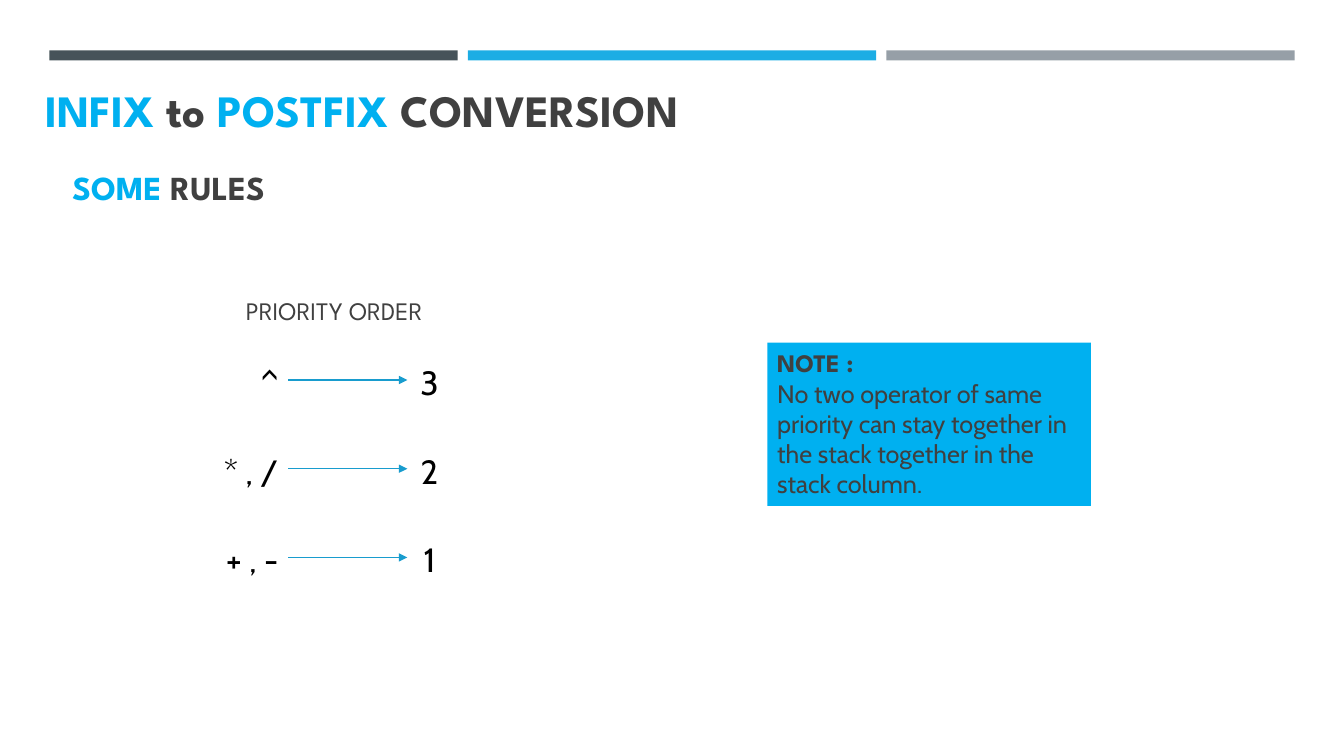
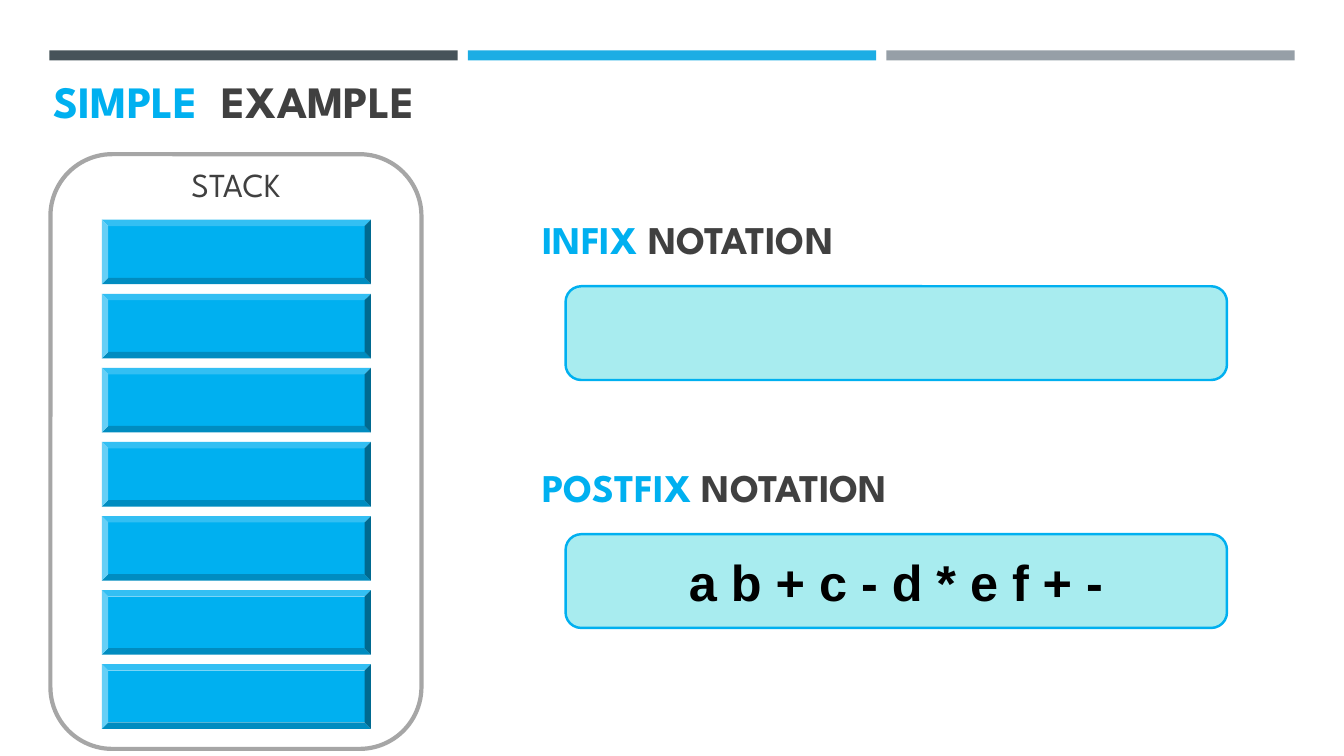
import pptx
import pptx.dml.color
import pptx.enum.shapes
import pptx.enum.text
import pptx.oxml.ns
import pptx.util
from lxml import etree

Inches = pptx.util.Inches
Pt = pptx.util.Pt
RGBColor = pptx.dml.color.RGBColor
SHAPE = pptx.enum.shapes.MSO_SHAPE
ALIGN = pptx.enum.text.PP_ALIGN
ANCHOR = pptx.enum.text.MSO_ANCHOR

SLATE = RGBColor(0x46, 0x53, 0x59)
SKY = RGBColor(0x1C, 0xAD, 0xE4)
STEEL = RGBColor(0x96, 0x9F, 0xA7)
BLUE = RGBColor(0x00, 0xB0, 0xF0)
DARK = RGBColor(0x40, 0x40, 0x40)
BLACK = RGBColor(0x00, 0x00, 0x00)
TEAL = RGBColor(0x18, 0x9C, 0xCE)
GREY = RGBColor(0xA6, 0xA6, 0xA6)
AQUA = RGBColor(0xA8, 0xEC, 0xEF)
HEAD = "League Spartan"
BODY = "Cabin"


def write(frame, text, size=18, font=HEAD, color=DARK, bold=False,
          align=ALIGN.LEFT, anchor=ANCHOR.TOP, more=False):
    frame.word_wrap = True
    frame.vertical_anchor = anchor
    para = frame.add_paragraph() if more else frame.paragraphs[0]
    para.alignment = align
    parts = [(text, color)] if isinstance(text, str) else text
    for words, tint in parts:
        run = para.add_run()
        run.text = words
        run.font.size = Pt(size)
        run.font.name = font
        run.font.bold = bold
        run.font.color.rgb = tint


def label(slide, box, text, **style):
    area = slide.shapes.add_textbox(*map(Inches, box))
    write(area.text_frame, text, **style)


def block(slide, kind, box, fill=None, line=None, width=1):
    shape = slide.shapes.add_shape(kind, *map(Inches, box))
    shape.shadow.inherit = False
    if fill is None:
        shape.fill.background()
    else:
        shape.fill.solid()
        shape.fill.fore_color.rgb = fill
    if line is None:
        shape.line.fill.background()
    else:
        shape.line.color.rgb = line
        shape.line.width = Pt(width)
    return shape


def arrow(slide, left, top, width):
    line = slide.shapes.add_connector(
        pptx.enum.shapes.MSO_CONNECTOR.STRAIGHT,
        Inches(left), Inches(top), Inches(left + width), Inches(top))
    line.line.color.rgb = TEAL
    line.line.width = Pt(1)
    name = pptx.oxml.ns.qn
    etree.SubElement(line.line._get_or_add_ln(), name("a:tailEnd"), type="triangle")
    etree.SubElement(line._element.spPr, name("a:effectLst"))


def start(deck, box, title):
    slide = deck.slides.add_slide(deck.slide_layouts[6])
    for i, tint in enumerate((SLATE, SKY, STEEL)):
        block(slide, SHAPE.RECTANGLE, (0.49 + 4.15 * i, 0.5, 4.05, 0.1), tint)
    label(slide, box, title, size=32, bold=True)
    return slide


def ranks(slide, left, top):
    label(slide, (left + 0.22, top, 2.47, 0.4), "PRIORITY ORDER", align=ALIGN.CENTER)
    for i, (signs, rank) in enumerate((("^", "3"), ("* , /", "2"), ("+ , -", "1"))):
        row = top + 0.66 + 0.88 * i
        style = dict(size=24, font=BODY, color=BLACK)
        label(slide, (left, row, 1, 0.5), signs, align=ALIGN.RIGHT, **style)
        arrow(slide, left + 1, row + 0.23, 1.18)
        label(slide, (left + 2.1, row, 0.6, 0.5), rank, align=ALIGN.CENTER, **style)


def note(slide, box):
    frame = block(slide, SHAPE.RECTANGLE, box, BLUE).text_frame
    write(frame, "NOTE :", bold=True)
    write(frame, "No two operator of same priority can stay together in the "
          "stack together in the stack column.", font=BODY, more=True)


def stack(slide, left, top, width, height):
    for i in range(7):
        cell = block(slide, SHAPE.BEVEL,
                     (left + 0.51, top + 0.65 + 4.41 * i / 6, width - 1.01, 0.64), BLUE)
        cell.adjustments[0] = 0.1
    block(slide, SHAPE.ROUNDED_RECTANGLE, (left, top, width, height), line=GREY, width=3)
    label(slide, (left, top + 0.05, width, 0.5), "STACK", size=24, align=ALIGN.CENTER)


def field(slide, left, top, name, value=""):
    label(slide, (left, top, 4.42, 0.57), [(name, BLUE), (" NOTATION", DARK)],
          size=28, bold=True)
    panel = block(slide, SHAPE.ROUNDED_RECTANGLE,
                  (left + 0.33, top + 0.75, 6.56, 0.93), AQUA, BLUE, 1.75)
    if value:
        write(panel.text_frame, value, size=36, font="Arial", color=BLACK, bold=True,
              align=ALIGN.CENTER, anchor=ANCHOR.MIDDLE)


def rules(deck):
    slide = start(deck, (0.35, 0.77, 7.24, 0.64),
                  [("INFIX ", BLUE), ("to", DARK), (" POSTFIX ", BLUE), ("CONVERSION", DARK)])
    label(slide, (0.62, 1.61, 2.47, 0.5), [("SOME ", BLUE), ("RULES", DARK)],
          size=24, bold=True)
    ranks(slide, 1.86, 2.88)
    note(slide, (7.61, 3.4, 3.21, 1.62))


def sample(deck):
    slide = start(deck, (0.43, 0.68, 4.31, 0.64), [("SIMPLE  ", BLUE), ("EXAMPLE", DARK)])
    stack(slide, 0.5, 1.53, 3.68, 5.9)
    field(slide, 5.28, 2.09, "INFIX")
    field(slide, 5.28, 4.55, "POSTFIX", "a b + c - d * e f + -")


def main():
    deck = pptx.Presentation()
    deck.slide_width = Inches(13.33)
    deck.slide_height = Inches(7.5)
    rules(deck)
    sample(deck)
    deck.save("out.pptx")


if __name__ == "__main__":
    main()
